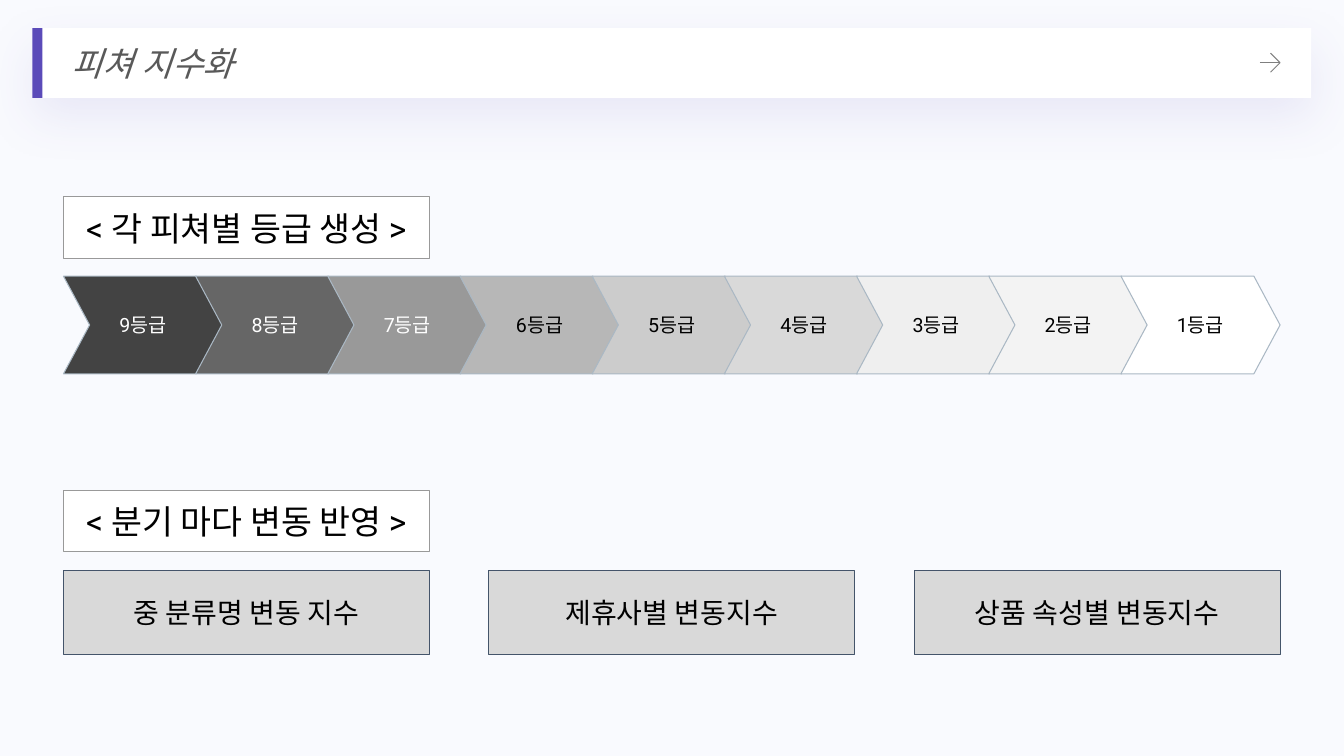
import pptx
import pptx.dml.color
import pptx.enum.shapes
import pptx.enum.text
import pptx.oxml
import pptx.oxml.ns
import pptx.util

Cm = pptx.util.Cm
Pt = pptx.util.Pt
SHAPES = pptx.enum.shapes.MSO_SHAPE
ALIGN = pptx.enum.text.PP_ALIGN

COLORS = {
    "background": "F9FAFE",
    "accent": "5B4BB9",
    "white": "FFFFFF",
    "black": "000000",
    "title": "595959",
    "arrow": "7F7F7F",
    "grade_line": "AAB8C4",
    "heading_line": "999999",
    "index_fill": "D9D9D9",
    "index_line": "44546A",
}
GRADE_FILLS = ["434343", "666666", "999999", "B7B7B7", "CCCCCC",
               "D9D9D9", "EFEFEF", "F3F3F3", "FFFFFF"]
INDEXES = ["중 분류명 변동 지수", "제휴사별 변동지수", "상품 속성별 변동지수"]

LEFT, RIGHT = 1.6, 32.26
BOX_WIDTH = 9.22
GRADE_WIDTH, GRADE_HEIGHT, GRADE_POINT = 4.01, 2.46, 0.66


def rgb(value):
    return pptx.dml.color.RGBColor.from_string(value)


def paint(shape, fill, line=None):
    shape.fill.solid()
    shape.fill.fore_color.rgb = rgb(fill)
    if line:
        shape.line.color.rgb = rgb(line)
        shape.line.width = Pt(0.75)
    else:
        shape.line.fill.background()


def write(shape, text, size, color, inset=0.25, align=ALIGN.CENTER, italic=False):
    frame = shape.text_frame
    frame_format = {
        "text": text,
        "word_wrap": True,
        "auto_size": pptx.enum.text.MSO_AUTO_SIZE.NONE,
        "vertical_anchor": pptx.enum.text.MSO_ANCHOR.MIDDLE,
        "margin_left": Cm(inset),
        "margin_right": Cm(inset),
        "margin_top": Cm(inset),
        "margin_bottom": Cm(inset),
    }
    for name, value in frame_format.items():
        setattr(frame, name, value)
    paragraph = frame.paragraphs[0]
    paragraph.alignment = align
    font = paragraph.runs[0].font
    for name, value in {"name": "Roboto", "size": Pt(size), "italic": italic}.items():
        setattr(font, name, value)
    font.color.rgb = rgb(color)


def add_block(slide, preset, left, top, width, height, fill, line=None):
    block = slide.shapes.add_shape(preset, Cm(left), Cm(top), Cm(width), Cm(height))
    block.shadow.inherit = False
    paint(block, fill, line)
    return block


def add_title(slide, text):
    title = slide.shapes.title
    place = {"left": 0.82, "top": 0.71, "width": 32.22, "height": 1.76}
    for name, value in place.items():
        setattr(title, name, Cm(value))
    paint(title, COLORS["white"])
    write(title, text, 24, COLORS["title"], align=ALIGN.LEFT, italic=True)
    properties = title.text_frame.paragraphs[0]._p.get_or_add_pPr()
    properties.set("marL", str(Cm(0.74)))
    properties.set("indent", "0")
    title._element.spPr.append(pptx.oxml.parse_xml(
        f'<a:effectLst {pptx.oxml.ns.nsdecls("a")}>'
        f'<a:outerShdw blurRad="{Pt(35)}" dist="{Pt(13)}" dir="5400000" '
        'algn="t" rotWithShape="0">'
        f'<a:srgbClr val="{COLORS["accent"]}"><a:alpha val="10000"/></a:srgbClr>'
        '</a:outerShdw></a:effectLst>'))
    add_block(slide, SHAPES.RECTANGLE, 0.82, 0.71, 0.25, 1.76, COLORS["accent"])


def add_title_arrow(slide):
    """Draw the thin arrow at the right end of the title bar."""
    tip, middle, reach = RIGHT, 1.58, 0.24
    builder = slide.shapes.build_freeform(Cm(tip - reach), Cm(middle - reach))
    builder.add_line_segments(
        [(Cm(tip), Cm(middle)), (Cm(tip - reach), Cm(middle + reach))], close=False)
    head = builder.convert_to_shape()
    head.shadow.inherit = False
    head.fill.background()
    shaft = slide.shapes.add_connector(
        pptx.enum.shapes.MSO_CONNECTOR.STRAIGHT,
        Cm(tip - 0.51), Cm(middle), Cm(tip), Cm(middle))
    shaft._element.spPr.append(pptx.oxml.parse_xml(
        f'<a:effectLst {pptx.oxml.ns.nsdecls("a")}/>'))
    for stroke in (head, shaft):
        stroke.line.color.rgb = rgb(COLORS["arrow"])
        stroke.line.width = Pt(0.75)


def add_heading(slide, top, text):
    heading = add_block(slide, SHAPES.RECTANGLE, LEFT, top, BOX_WIDTH, 1.55,
                        COLORS["white"], COLORS["heading_line"])
    write(heading, text, 24, COLORS["black"])


def add_grades(slide, top):
    count = len(GRADE_FILLS)
    pitch = (RIGHT - LEFT - GRADE_WIDTH) / (count - 1)
    for position, fill in enumerate(GRADE_FILLS):
        grade = add_block(slide, SHAPES.CHEVRON, LEFT + position * pitch, top,
                          GRADE_WIDTH, GRADE_HEIGHT, fill, COLORS["grade_line"])
        grade.adjustments[0] = GRADE_POINT / GRADE_HEIGHT
        color = COLORS["white" if position < 3 else "black"]
        write(grade, f"{count - position}등급", 14, color, inset=0.33)


def add_indexes(slide, top):
    pitch = (RIGHT - LEFT - BOX_WIDTH) / (len(INDEXES) - 1)
    for position, text in enumerate(INDEXES):
        index = add_block(slide, SHAPES.RECTANGLE, LEFT + position * pitch, top,
                          BOX_WIDTH, 2.13, COLORS["index_fill"], COLORS["index_line"])
        write(index, text, 20, COLORS["black"])


def main():
    deck = pptx.Presentation()
    deck.slide_width, deck.slide_height = Cm(33.87), Cm(19.05)
    slide = deck.slides.add_slide(deck.slide_layouts.get_by_name("Title Only"))
    slide.background.fill.solid()
    slide.background.fill.fore_color.rgb = rgb(COLORS["background"])

    add_title(slide, "피쳐 지수화")
    add_title_arrow(slide)
    add_heading(slide, 4.96, "< 각 피쳐별 등급 생성 >")
    add_grades(slide, 6.96)
    add_heading(slide, 12.36, "< 분기 마다 변동 반영 >")
    add_indexes(slide, 14.37)
    deck.save("out.pptx")


if __name__ == "__main__":
    main()
